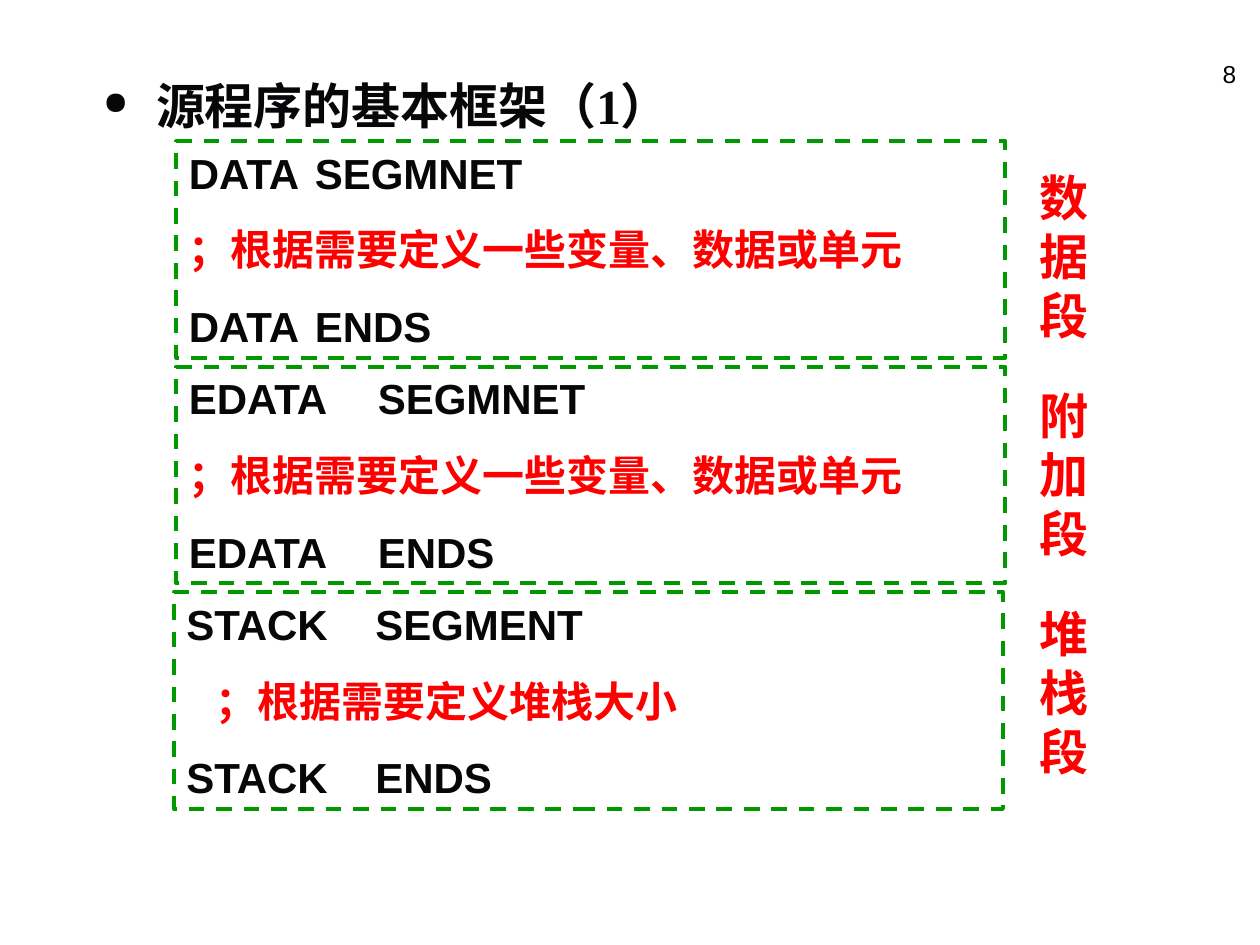
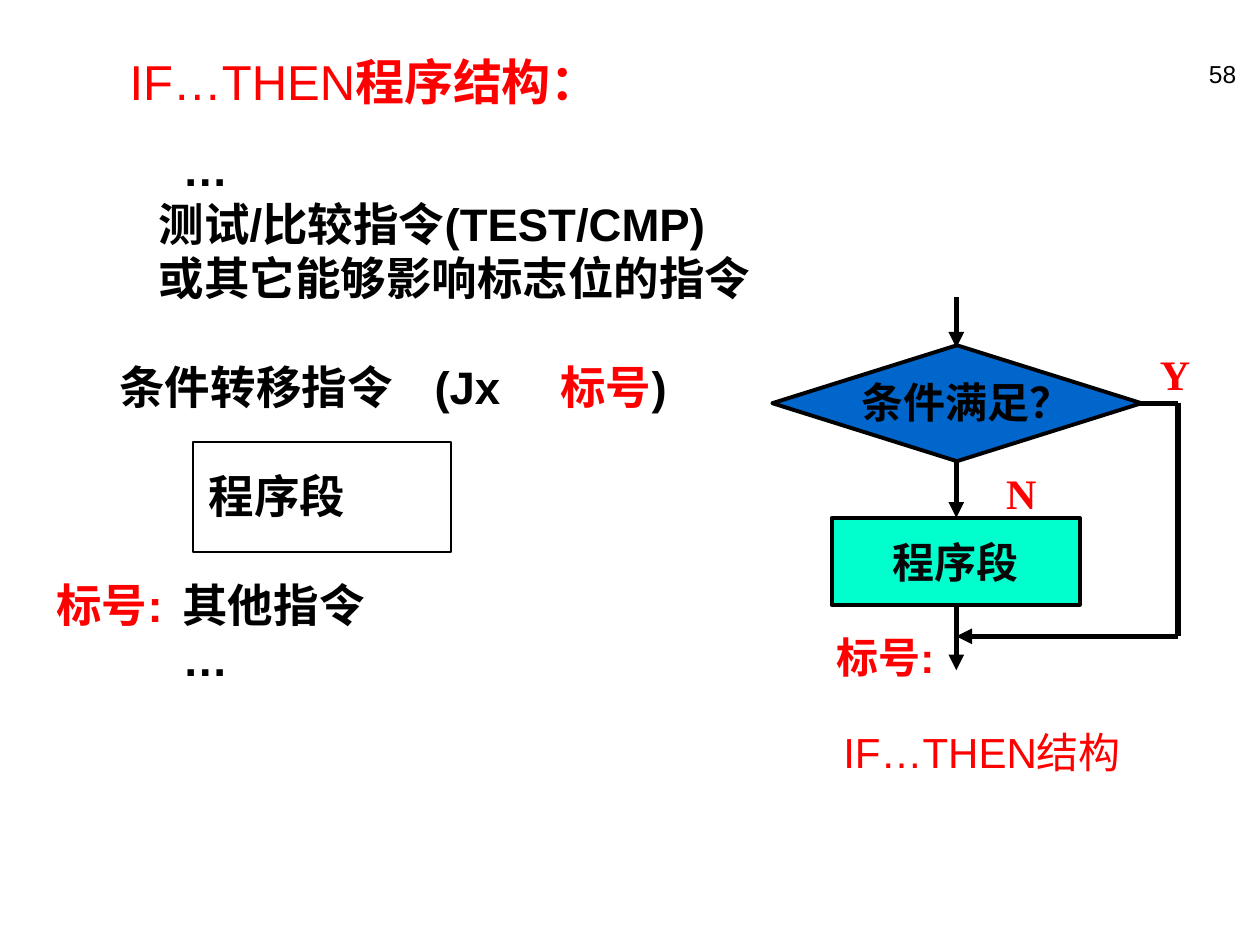
from dataclasses import dataclass
from typing import NamedTuple

from lxml.etree import SubElement
from pptx import Presentation
from pptx.dml.color import RGBColor
from pptx.enum.dml import MSO_LINE
from pptx.enum.lang import MSO_LANGUAGE_ID as LANG
from pptx.enum.shapes import MSO_CONNECTOR, MSO_SHAPE
from pptx.enum.text import MSO_ANCHOR as ANCHOR, PP_ALIGN as ALIGN
from pptx.oxml.ns import qn
from pptx.util import Inches, Pt

COLORS = {
    "black": "000000",
    "ink": "070709",
    "red": "FF0000",
    "green": "009900",
    "blue": "0066CC",
    "mint": "00FFCC",
}
INSETS = (0.1, 0.05)


class Box(NamedTuple):
    left: float
    top: float
    width: float
    height: float


class Point(NamedTuple):
    x: float
    y: float


class Run(NamedTuple):
    text: str
    color: str = ""
    bold: bool | None = None


@dataclass(frozen=True)
class Line:
    runs: tuple[Run, ...]
    before: float = 0
    indent: float = 0
    tabs: tuple[float, ...] = ()
    bullet: str = ""


@dataclass(frozen=True)
class Segment:
    """One dashed program segment and its vertical label."""
    box: Box
    label: str
    label_box: Box
    opening: str
    comment: str
    closing: str
    opening_tab: float
    closing_tab: float
    comment_indent: float = 0


COMMENT = "；根据需要定义一些变量、数据或单元"
SEGMENTS = (
    Segment(Box(1.4, 1.12, 6.58, 1.72), "数据段", Box(8.15, 1.28, 0.87, 1.5),
            "DATA\tSEGMNET", COMMENT, "DATA\tENDS", 1.3, 1.3),
    Segment(Box(1.4, 2.91, 6.58, 1.72), "附加段", Box(8.15, 3.01, 0.61, 1.5),
            "EDATA\tSEGMNET", COMMENT, "EDATA\tENDS", 1.43, 1.52),
    Segment(Box(1.38, 4.7, 6.58, 1.72), "堆栈段", Box(8.15, 4.74, 0.56, 1.5),
            "STACK\tSEGMENT", "；根据需要定义堆栈大小", "STACK\tENDS", 1.46, 1.46, 0.23),
)


def rgb(name: str) -> RGBColor:
    return RGBColor.from_string(COLORS[name])


def format_paragraph(paragraph, line: Line, color: str) -> None:
    """Set spacing, indent, bullet and tab stops."""
    paragraph.space_before = Pt(line.before)
    props = paragraph._p.get_or_add_pPr()
    props.set("marL", str(Inches(line.indent)))
    props.set("indent", str(-Inches(line.indent) if line.bullet else 0))
    if line.bullet:
        bullet_color = SubElement(props, qn("a:buClr"))
        SubElement(bullet_color, qn("a:srgbClr"), val=COLORS[color])
        SubElement(props, qn("a:buSzPct"), val="65000")
        SubElement(props, qn("a:buChar"), char=line.bullet)
    if line.tabs:
        stops = SubElement(props, qn("a:tabLst"))
        for stop in line.tabs:
            SubElement(stops, qn("a:tab"), pos=str(Inches(stop)), algn="l")


def write(frame, *lines: Line | str, size: float = 24, color: str = "black",
          font: str = "Arial", bold: bool = True, align=ALIGN.LEFT,
          anchor=ANCHOR.TOP, insets: tuple[float, float] = INSETS,
          wrap: bool = True) -> None:
    frame.word_wrap = wrap
    frame.vertical_anchor = anchor
    frame.margin_left = frame.margin_right = Inches(insets[0])
    frame.margin_top = frame.margin_bottom = Inches(insets[1])
    for index, item in enumerate(lines):
        line = Line((Run(item),)) if isinstance(item, str) else item
        paragraph = frame.add_paragraph() if index else frame.paragraphs[0]
        paragraph.alignment = align
        format_paragraph(paragraph, line, color)
        for part in line.runs:
            run = paragraph.add_run()
            run.text = part.text
            run.font.name = font
            run.font.size = Pt(size)
            run.font.bold = bold if part.bold is None else part.bold
            run.font.color.rgb = rgb(part.color or color)
            run.font.language_id = LANG.SIMPLIFIED_CHINESE


def add_text(slide, box: Box, *lines: Line | str, **text_format) -> None:
    text_box = slide.shapes.add_textbox(*map(Inches, box))
    write(text_box.text_frame, *lines, **text_format)


def add_outlined(slide, kind, box: Box, line: str = "black",
                 weight: float = 2.25, fill: str = ""):
    shape = slide.shapes.add_shape(kind, *map(Inches, box))
    shape.shadow.inherit = False
    if fill:
        shape.fill.solid()
        shape.fill.fore_color.rgb = rgb(fill)
    else:
        shape.fill.background()
    shape.line.color.rgb = rgb(line)
    shape.line.width = Pt(weight)
    return shape


def add_flow(slide, *points: Point) -> None:
    """Join the points with straight lines and end in an arrowhead."""
    for start, end in zip(points, points[1:]):
        connector = slide.shapes.add_connector(
            MSO_CONNECTOR.STRAIGHT, *map(Inches, (*start, *end)))
        connector.line.color.rgb = rgb("black")
        connector.line.width = Pt(3)
        SubElement(connector._element.spPr, qn("a:effectLst"))
        if end == points[-1]:
            SubElement(connector.line._get_or_add_ln(), qn("a:tailEnd"), type="triangle")


def add_page(deck, number: str):
    slide = deck.slides.add_slide(deck.slide_layouts[6])
    add_text(slide, Box(7.83, 0.42, 2.08, 0.5), number,
             size=14, bold=False, align=ALIGN.RIGHT)
    return slide


def add_segment(slide, segment: Segment) -> None:
    frame = add_outlined(slide, MSO_SHAPE.RECTANGLE, segment.box, line="green")
    frame.line.dash_style = MSO_LINE.DASH
    write(
        frame.text_frame,
        Line((Run(segment.opening),), tabs=(segment.opening_tab,)),
        Line((Run(segment.comment, "red"),), before=15, indent=segment.comment_indent),
        Line((Run(segment.closing),), before=15, tabs=(segment.closing_tab,)),
        color="ink",
    )
    add_text(slide, segment.label_box, segment.label, size=28, color="red")


def build_framework(deck) -> None:
    slide = add_page(deck, "8")
    for segment in SEGMENTS:
        add_segment(slide, segment)
    add_text(slide, Box(0.72, 0.55, 4.89, 0.57),
             Line((Run("源程序的基本框架（1）"),), indent=0.42, bullet="●"),
             size=28, color="ink", font="Times New Roman")


def add_instructions(slide) -> None:
    skipped = 31
    add_text(
        slide, Box(0.35, 1.07, 9.65, 4.43),
        Line((Run("…"),), indent=1),
        Line((Run("测试/比较指令(TEST/CMP)"),), indent=0.81),
        Line((Run("或其它能够影响标志位的指令"),), indent=0.81),
        Line((Run("\t条件转移指令\t(Jx\t"), Run("标号", "red"), Run(")")),
             before=skipped, tabs=(0.81, 3.39, 4.2)),
        Line((Run("程序段"),), before=skipped, indent=1.21),
        Line((Run("标号:", "red"), Run("\t其他指令")), before=skipped, tabs=(1.21,)),
        Line((Run("…"),), indent=1),
        size=26,
    )
    add_outlined(slide, MSO_SHAPE.RECTANGLE, Box(1.53, 3.51, 2.05, 0.87), weight=1)


def add_flowchart(slide) -> None:
    axis, bypass, merge = 7.59, 9.35, 5.05
    add_outlined(slide, MSO_SHAPE.FLOWCHART_DECISION,
                 Box(6.13, 2.74, 2.93, 0.92), fill="blue")
    block = add_outlined(slide, MSO_SHAPE.FLOWCHART_PROCESS,
                         Box(6.6, 4.11, 1.97, 0.69), fill="mint")
    write(block.text_frame, "程序段", color="ink",
          align=ALIGN.CENTER, anchor=ANCHOR.MIDDLE)
    for top, bottom in ((2.36, 2.76), (3.66, 4.11), (4.8, 5.32)):
        add_flow(slide, Point(axis, top), Point(axis, bottom))
    add_flow(slide, Point(9.01, 3.2), Point(bypass, 3.2),
             Point(bypass, merge), Point(axis, merge))
    for answer, left, top in (("N", 7.7, 3.68), ("Y", 8.92, 2.74)):
        add_text(slide, Box(left, top, 0.81, 0.46), answer, color="red",
                 font="Times New Roman", align=ALIGN.CENTER,
                 anchor=ANCHOR.MIDDLE, insets=(0, 0))
    add_text(slide, Box(6.74, 2.94, 2.05, 0.5), "条件满足？")
    add_text(slide, Box(6.26, 5.72, 3.07, 0.5), "IF…THEN结构",
             color="red", bold=False, align=ALIGN.CENTER)


def build_if_then(deck) -> None:
    slide = add_page(deck, "58")
    add_instructions(slide)
    add_text(slide, Box(0.93, 0.36, 4.02, 0.57),
             Line((Run("IF…THEN", bold=False), Run("程序结构："))),
             size=28, color="red", wrap=False)
    add_text(slide, Box(6.54, 4.96, 1.06, 0.5), "标号:", color="red", wrap=False)
    add_flowchart(slide)


def main() -> None:
    deck = Presentation()
    deck.slide_width, deck.slide_height = Inches(10), Inches(7.5)
    build_framework(deck)
    build_if_then(deck)
    deck.save("out.pptx")


if __name__ == "__main__":
    main()
